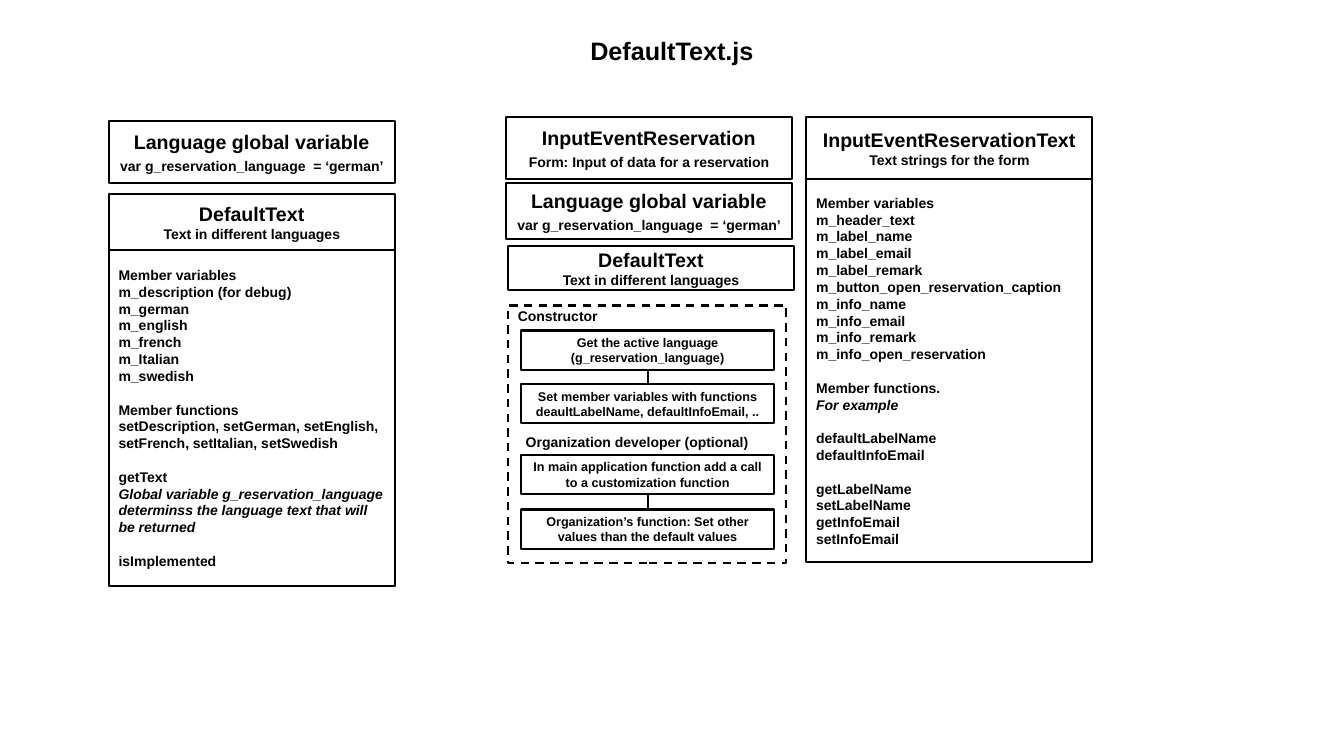
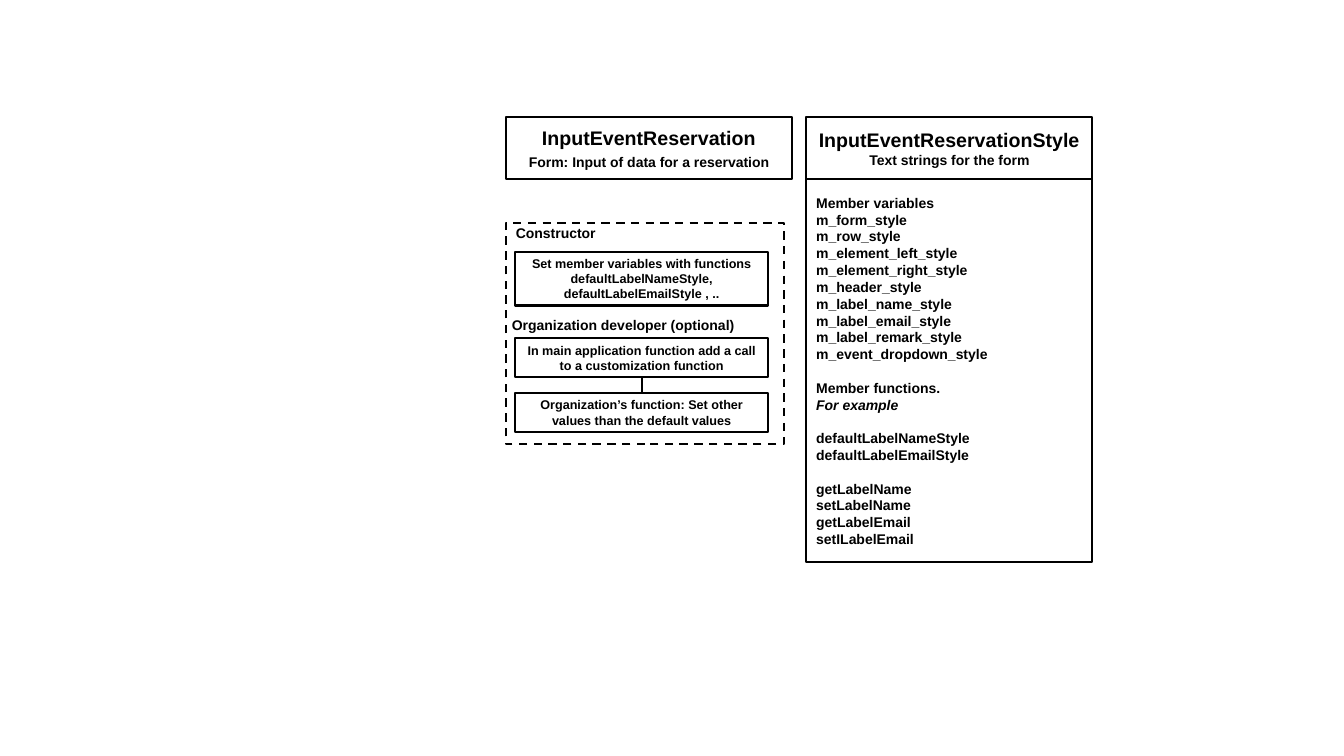
from dataclasses import dataclass

from lxml import etree
from pptx import Presentation
from pptx.dml.color import RGBColor
from pptx.enum.dml import MSO_LINE
from pptx.enum.shapes import MSO_CONNECTOR, MSO_SHAPE
from pptx.enum.text import MSO_ANCHOR, PP_ALIGN
from pptx.oxml.ns import qn
from pptx.util import Cm, Pt


@dataclass(frozen=True)
class Theme:
    font: str = "Arial"
    ink: RGBColor = RGBColor(0, 0, 0)
    title: Pt = Pt(18)
    heading: Pt = Pt(14)
    body: Pt = Pt(10)
    step: Pt = Pt(9)
    line: Pt = Pt(1.5)
    subtitle_gap: Pt = Pt(3.5)
    group_gap: Pt = Pt(12)


THEME = Theme()

# Shared layout, in centimetres
SLIDE_WIDTH, SLIDE_HEIGHT = 33.87, 19.05
LEFT_COLUMN, FORM_COLUMN, TEXT_COLUMN = 2.74, 12.75, 20.32
COLUMN_WIDTH = 7.21
TOP = 2.95
HEADER_HEIGHT = 1.57
SHORT_HEADER_HEIGHT = 1.4
STEP_WIDTH, STEP_HEIGHT, STEP_PITCH = 6.38, 0.99, 1.38
FRAME_WIDTH = 7.01
LABEL_HEIGHT, LABEL_OFFSET = 0.69, 0.67

# Wording used more than once
LANGUAGE = ("Language global variable", "var g_reservation_language  = ‘german’")
DEFAULT_TEXT = ("DefaultText", "Text in different languages")
FORM = ("InputEventReservation", "Form: Input of data for a reservation")
TEXT_STRINGS = "Text strings for the form"
EXAMPLE = "For example"

DEFAULT_TEXT_MEMBERS = [
    ["Member variables", "m_description (for debug)", "m_german", "m_english",
     "m_french", "m_Italian", "m_swedish"],
    ["Member functions",
     "setDescription, setGerman, setEnglish, setFrench, setItalian, setSwedish"],
    ["getText",
     "Global variable g_reservation_language determinss the language text "
     "that will be returned"],
    ["isImplemented"],
]
TEXT_MEMBERS = [
    ["Member variables", "m_header_text", "m_label_name", "m_label_email",
     "m_label_remark", "m_button_open_reservation_caption", "m_info_name",
     "m_info_email", "m_info_remark", "m_info_open_reservation"],
    ["Member functions.", EXAMPLE],
    ["defaultLabelName", "defaultInfoEmail"],
    ["getLabelName", "setLabelName", "getInfoEmail", "setInfoEmail"],
]
STYLE_MEMBERS = [
    ["Member variables", "m_form_style", "m_row_style", "m_element_left_style",
     "m_element_right_style", "m_header_style", "m_label_name_style",
     "m_label_email_style", "m_label_remark_style", "m_event_dropdown_style"],
    ["Member functions.", EXAMPLE],
    ["defaultLabelNameStyle", "defaultLabelEmailStyle"],
    ["getLabelName", "setLabelName", "getLabelEmail", "setILabelEmail"],
]


# Text
def write_line(frame, text, size, align=PP_ALIGN.LEFT, space_before=0, italic=False):
    """Fill the first paragraph if it is still empty, otherwise add one."""
    paragraph = frame.paragraphs[-1]
    if paragraph.text:
        paragraph = frame.add_paragraph()
    paragraph.text = text
    paragraph.alignment = align
    paragraph.space_before = space_before
    font = paragraph.font
    font.name, font.size, font.bold, font.italic = THEME.font, size, True, italic
    font.color.rgb = THEME.ink


def add_title(slide, text):
    title = slide.shapes.title
    title.left, title.top = Cm(0), Cm(0.76)
    title.width, title.height = Cm(SLIDE_WIDTH), Cm(1.02)
    title.text_frame.vertical_anchor = MSO_ANCHOR.MIDDLE
    write_line(title.text_frame, text, THEME.title, PP_ALIGN.CENTER)


def add_label(slide, left, top, text):
    label = slide.shapes.add_textbox(Cm(left), Cm(top), Cm(COLUMN_WIDTH), Cm(LABEL_HEIGHT))
    label.text_frame.word_wrap = True
    write_line(label.text_frame, text, THEME.body)


# Boxes
def add_box(slide, left, top, width, height):
    box = slide.shapes.add_shape(
        MSO_SHAPE.RECTANGLE, Cm(left), Cm(top), Cm(width), Cm(height))
    box.shadow.inherit = False
    box.fill.background()
    box.line.color.rgb = THEME.ink
    box.line.width = THEME.line
    box.text_frame.word_wrap = True
    box.text_frame.vertical_anchor = MSO_ANCHOR.MIDDLE
    return box


def add_header(slide, left, top, height, wording, gap=0):
    heading, subtitle = wording
    frame = add_box(slide, left, top, COLUMN_WIDTH, height).text_frame
    write_line(frame, heading, THEME.heading, PP_ALIGN.CENTER)
    write_line(frame, subtitle, THEME.body, PP_ALIGN.CENTER, gap)


def add_class(slide, left, top, header_height, body_height, wording, groups, italic):
    """A header with the members of the class, in spaced groups, below it."""
    add_header(slide, left, top, header_height, wording)
    body = add_box(slide, left, top + header_height, COLUMN_WIDTH, body_height)
    for group_index, group in enumerate(groups):
        for line_index, line in enumerate(group):
            starts_group = group_index > 0 and line_index == 0
            write_line(body.text_frame, line, THEME.body,
                       space_before=THEME.group_gap if starts_group else 0,
                       italic=line.startswith(italic))


def add_dashed_frame(slide, left, top, height, text):
    box = add_box(slide, left, top, FRAME_WIDTH, height)
    box.line.dash_style = MSO_LINE.DASH
    box.text_frame.vertical_anchor = MSO_ANCHOR.TOP
    box.text_frame.margin_top = Cm(0.06)
    write_line(box.text_frame, text, THEME.body)


# Steps
def add_step(slide, left, top, *lines, height=STEP_HEIGHT):
    step = add_box(slide, left, top, STEP_WIDTH, height)
    for line in lines:
        write_line(step.text_frame, line, THEME.step, PP_ALIGN.CENTER)
    return step


def join_steps(slide, upper, lower):
    connector = slide.shapes.add_connector(MSO_CONNECTOR.STRAIGHT, 0, 0, 0, 0)
    connector.begin_connect(upper, 2)
    connector.end_connect(lower, 0)
    connector.line.color.rgb = THEME.ink
    connector.line.width = THEME.line
    etree.SubElement(connector._element.spPr, qn("a:effectLst"))


def add_customization(slide, label_left, left, top):
    add_label(slide, label_left, top - LABEL_OFFSET, "Organization developer (optional)")
    call = add_step(slide, left, top,
                    "In main application function add a call to a customization function")
    function = add_step(slide, left, top + STEP_PITCH,
                        "Organization’s function: Set other values than the default values")
    join_steps(slide, call, function)


# Slides
def add_form_and_class(slide, class_name, members):
    """The form header and the class beside it, found on both slides."""
    add_header(slide, FORM_COLUMN, TOP, HEADER_HEIGHT, FORM, THEME.subtitle_gap)
    add_class(slide, TEXT_COLUMN, TOP, HEADER_HEIGHT, 9.65,
              (class_name, TEXT_STRINGS), members, EXAMPLE)


def build_text_slide(presentation):
    slide = presentation.slides.add_slide(presentation.slide_layouts.get_by_name("Title Only"))
    add_title(slide, "DefaultText.js")

    # Language variable and DefaultText class
    add_header(slide, LEFT_COLUMN, 3.05, HEADER_HEIGHT, LANGUAGE, THEME.subtitle_gap)
    add_class(slide, LEFT_COLUMN, 4.9, SHORT_HEADER_HEIGHT, 8.46,
              DEFAULT_TEXT, DEFAULT_TEXT_MEMBERS, "Global variable")

    # Form and what it uses
    add_form_and_class(slide, "InputEventReservationText", TEXT_MEMBERS)
    add_header(slide, FORM_COLUMN, 4.62, SHORT_HEADER_HEIGHT, LANGUAGE, THEME.subtitle_gap)
    add_header(slide, 12.8, 6.2, 1.12, DEFAULT_TEXT)

    # Constructor
    step_left = 13.13
    add_dashed_frame(slide, 12.8, 7.7, 6.48, "Constructor")
    get_language = add_step(slide, step_left, 8.33,
                            "Get the active language", "(g_reservation_language)")
    set_members = add_step(
        slide, step_left, 9.68,
        "Set member variables with functions deaultLabelName, defaultInfoEmail, ..")
    join_steps(slide, get_language, set_members)
    add_customization(slide, 13, step_left, 11.46)


def build_style_slide(presentation):
    slide = presentation.slides.add_slide(presentation.slide_layouts.get_by_name("Blank"))
    add_form_and_class(slide, "InputEventReservationStyle", STYLE_MEMBERS)

    # Constructor
    step_left = 12.98
    add_dashed_frame(slide, FORM_COLUMN, 5.61, 5.59, "Constructor")
    add_step(slide, step_left, 6.35,
             "Set member variables with functions defaultLabelNameStyle, "
             "defaultLabelEmailStyle , ..", height=1.35)
    add_customization(slide, 12.65, step_left, 8.52)


def main():
    presentation = Presentation()
    presentation.slide_width, presentation.slide_height = Cm(SLIDE_WIDTH), Cm(SLIDE_HEIGHT)
    build_text_slide(presentation)
    build_style_slide(presentation)
    presentation.save("out.pptx")


if __name__ == "__main__":
    main()
